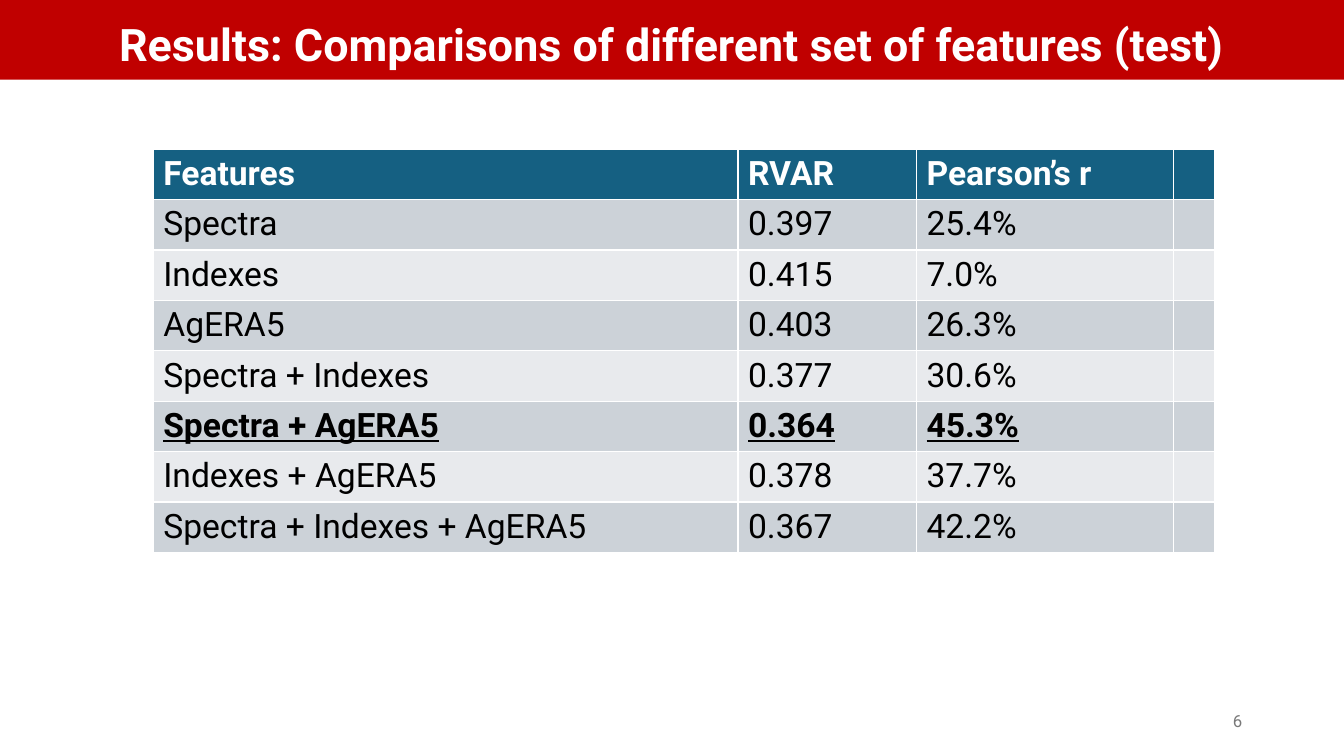
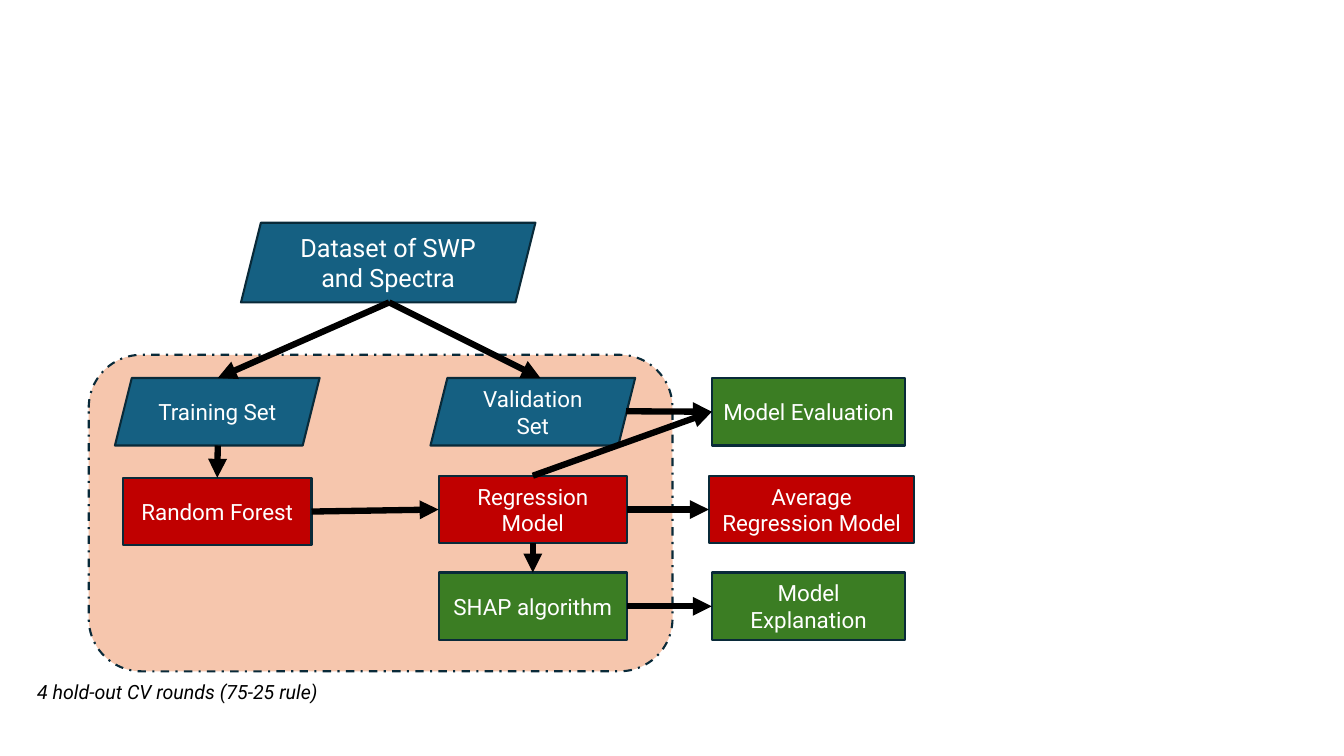
from lxml.etree import SubElement
from pptx import Presentation
from pptx.dml.color import RGBColor
from pptx.enum.dml import MSO_LINE
from pptx.enum.shapes import MSO_CONNECTOR, MSO_SHAPE
from pptx.enum.text import MSO_ANCHOR as Anchor, MSO_AUTO_SIZE as AutoSize, PP_ALIGN as Align
from pptx.oxml.ns import qn
from pptx.util import Emu, Pt

EMU_PER_PX = 9144  # 100 px to the inch
WIDTH, HEIGHT = 1333, 750
FONT = "Roboto"
RED, BLUE, GREEN = "C00000", "156082", "3B7D23"
PEACH, NAVY, GREY = "F6C6AD", "092A39", "797979"
WHITE, BLACK = "FFFFFF", "000000"
BANDS = ("CCD2D8", "E8EAED")
TOP, LEFT, BOTTOM, RIGHT = range(4)

COLUMN_WIDTHS = (580, 177, 255, 41)
ROW_HEIGHT = 50
RESULTS = (
    ("Features", "RVAR", "Pearson’s r"),
    ("Spectra", "0.397", "25.4%"),
    ("Indexes", "0.415", "7.0%"),
    ("AgERA5", "0.403", "26.3%"),
    ("Spectra + Indexes", "0.377", "30.6%"),
    ("Spectra + AgERA5", "0.364", "45.3%"),
    ("Indexes + AgERA5", "0.378", "37.7%"),
    ("Spectra + Indexes + AgERA5", "0.367", "42.2%"),
)
BEST_ROW = 5


def px(*lengths):
    return [Emu(length * EMU_PER_PX) for length in lengths]


def rgb(color):
    return RGBColor.from_string(color)


def write(frame, text, size, color, align=Align.LEFT, bold=False, italic=False, underline=False):
    frame.text = text
    para = frame.paragraphs[0]
    para.alignment = align
    font = para.font
    font.name, font.size = FONT, Pt(size)
    font.bold, font.italic, font.underline = bold, italic, underline
    font.color.rgb = rgb(color)


def add_panel(page, kind, bounds, fill, outline=None):
    panel = page.shapes.add_shape(kind, *px(*bounds))
    panel.shadow.inherit = False
    panel.fill.solid()
    panel.fill.fore_color.rgb = rgb(fill)
    if outline:
        panel.line.color.rgb = rgb(outline)
        panel.line.width = Pt(1.5)
    else:
        panel.line.fill.background()
    return panel


def add_node(page, kind, bounds, fill, text, size=16):
    node = add_panel(page, kind, bounds, fill, NAVY)
    frame = node.text_frame
    frame.word_wrap = True
    frame.vertical_anchor = Anchor.MIDDLE
    write(frame, text, size, WHITE, Align.CENTER)
    return node


def add_label(page, bounds, text, size, color, anchor=Anchor.TOP, **style):
    box = page.shapes.add_textbox(*px(*bounds))
    box.text_frame.word_wrap = True
    box.text_frame.vertical_anchor = anchor
    write(box.text_frame, text, size, color, **style)


def add_arrow(page, start, end):
    """Each end is a (x, y) point in px or a (shape, side) pair to join."""
    points = [(0, 0) if hasattr(spot[0], "shape_id") else spot for spot in (start, end)]
    arrow = page.shapes.add_connector(MSO_CONNECTOR.STRAIGHT, *px(*points[0], *points[1]))
    for spot, join in ((start, arrow.begin_connect), (end, arrow.end_connect)):
        if hasattr(spot[0], "shape_id"):
            join(*spot)
    arrow.line.color.rgb = rgb(BLACK)
    arrow.line.width = Pt(4.5)
    properties = arrow.element.spPr
    SubElement(properties.find(qn("a:ln")), qn("a:tailEnd"), type="triangle")
    SubElement(properties, qn("a:effectLst"))


def add_title_band(page, text):
    title = page.shapes.title
    title.left, title.top, title.width, title.height = px(0, 12, WIDTH, 64)
    frame = title.text_frame
    frame.word_wrap = True
    frame.auto_size = AutoSize.NONE
    frame.vertical_anchor = Anchor.TOP
    write(frame, text, 32, WHITE, Align.CENTER, bold=True)
    band = add_panel(page, MSO_SHAPE.ROUNDED_RECTANGLE, (0, 0, WIDTH, 79), RED)
    band.adjustments[0] = 0
    title.element.addprevious(band.element)


def add_results_table(page):
    bounds = px(152, 148, sum(COLUMN_WIDTHS), ROW_HEIGHT * len(RESULTS))
    table = page.shapes.add_table(len(RESULTS), len(COLUMN_WIDTHS), *bounds).table
    for column, width in zip(table.columns, px(*COLUMN_WIDTHS)):
        column.width = width
    for row, values in enumerate(RESULTS):
        header, best = row == 0, row == BEST_ROW
        for column in range(len(COLUMN_WIDTHS)):
            cell = table.cell(row, column)
            cell.fill.solid()
            cell.fill.fore_color.rgb = rgb(BLUE if header else BANDS[(row - 1) % 2])
            if column < len(values):
                write(cell.text_frame, values[column], 24, WHITE if header else BLACK,
                      bold=header or best, underline=best)


def build_results(deck):
    page = deck.slides.add_slide(deck.slide_layouts[5])
    add_title_band(page, "Results: Comparisons of different set of features (test)")
    add_results_table(page)
    add_label(page, (942, 695, 300, 40), "6", 12, GREY, Anchor.MIDDLE, align=Align.RIGHT)


def build_workflow(deck):
    page = deck.slides.add_slide(deck.slide_layouts[6])
    data, step = MSO_SHAPE.PARALLELOGRAM, MSO_SHAPE.RECTANGLE
    rounds = add_panel(page, MSO_SHAPE.ROUNDED_RECTANGLE, (88, 352, 579, 314), PEACH, NAVY)
    rounds.line.dash_style = MSO_LINE.DASH_DOT

    add_node(page, data, (239, 221, 292, 79), BLUE, "Dataset of SWP and Spectra", 18)
    add_node(page, data, (114, 375, 203, 67), BLUE, "Training Set")
    add_node(page, data, (427, 375, 203, 67), BLUE, "Validation Set")
    forest = add_node(page, step, (122, 474, 187, 67), RED, "Random Forest")
    model = add_node(page, step, (435, 472, 187, 67), RED, "Regression Model")
    shap = add_node(page, step, (435, 568, 187, 67), GREEN, "SHAP algorithm")
    evaluation = add_node(page, step, (706, 375, 192, 67), GREEN, "Model Evaluation")
    average = add_node(page, step, (703, 472, 204, 67), RED, "Average Regression Model")
    explanation = add_node(page, step, (706, 568, 192, 67), GREEN, "Model Explanation")

    for start, end in (
        ((386, 300), (216, 375)),
        ((386, 300), (536, 375)),
        ((216, 442), (forest, TOP)),
        ((621, 408), (evaluation, LEFT)),
        ((forest, RIGHT), (model, LEFT)),
        ((model, TOP), (evaluation, LEFT)),
        ((model, RIGHT), (average, LEFT)),
        ((model, BOTTOM), (shap, TOP)),
        ((shap, RIGHT), (explanation, LEFT)),
    ):
        add_arrow(page, start, end)
    add_label(page, (27, 670, 666, 34), "4 hold-out CV rounds (75-25 rule)", 14, BLACK, italic=True)


def main():
    deck = Presentation()
    deck.slide_width, deck.slide_height = px(WIDTH, HEIGHT)
    build_results(deck)
    build_workflow(deck)
    deck.save("out.pptx")


if __name__ == "__main__":
    main()
